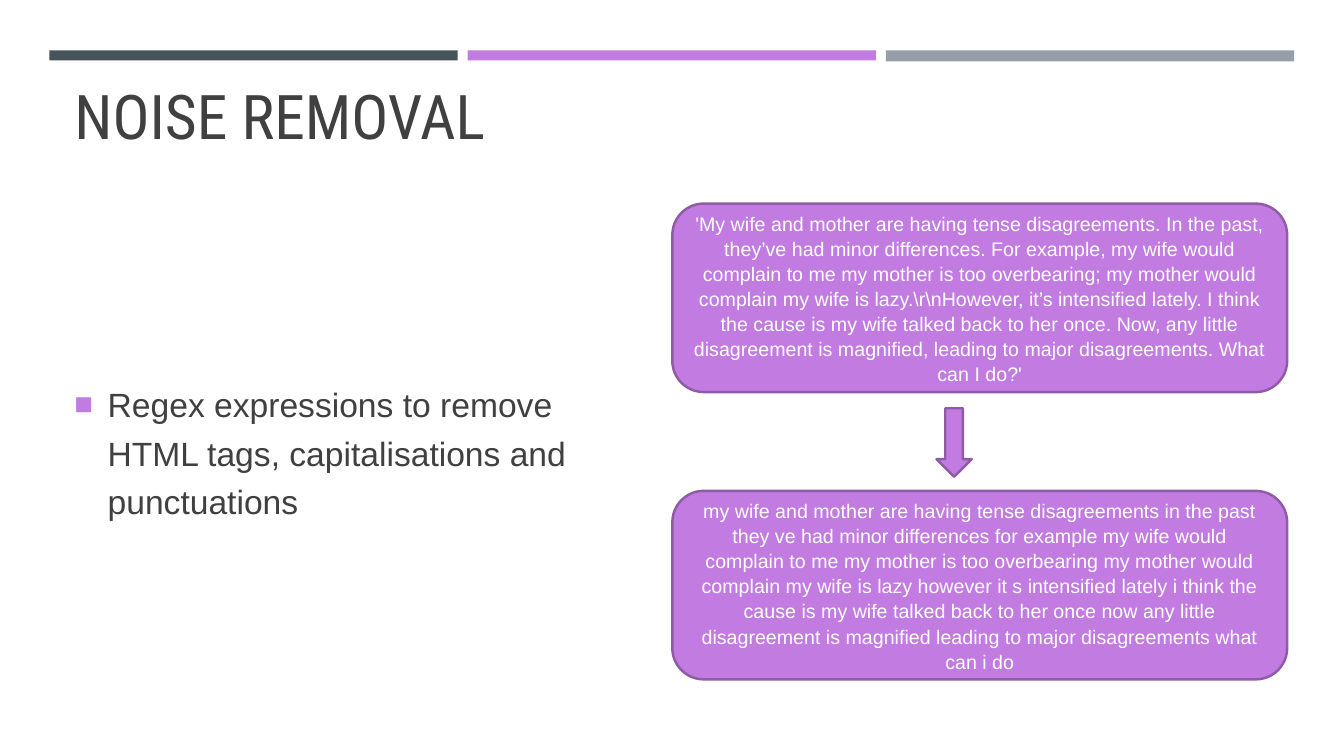
from lxml.etree import SubElement
from pptx import Presentation
from pptx.dml.color import RGBColor
from pptx.enum.shapes import MSO_SHAPE as Shape
from pptx.enum.text import MSO_ANCHOR as Anchor, PP_ALIGN as Align
from pptx.oxml.ns import qn
from pptx.util import Inches, Pt

PURPLE, PLUM, SLATE, GREY = "C27BE1", "905BA6", "465359", "969FA7"
INK, WHITE = "404040", "FFFFFF"
COLUMNS, ROWS = 40, 30

RAW_POST = (
    "'My wife and mother are having tense disagreements. In the past, they’ve had "
    "minor differences. For example, my wife would complain to me my mother is too "
    "overbearing; my mother would complain my wife is lazy.\\r\\nHowever, it’s "
    "intensified lately. I think the cause is my wife talked back to her once. Now, "
    "any little disagreement is magnified, leading to major disagreements. What can I do?'"
)
CLEAN_POST = (
    "my wife and mother are having tense disagreements in the past they ve had minor "
    "differences for example my wife would complain to me my mother is too overbearing "
    "my mother would complain my wife is lazy however it s intensified lately i think "
    "the cause is my wife talked back to her once now any little disagreement is "
    "magnified leading to major disagreements what can i do"
)


def color(value):
    return RGBColor.from_string(value)


class SlideBuilder:
    """Draws on one slide; every position is (column, row, columns, rows)."""

    heading_font, text_font = "Roboto Condensed", "Arial"

    def __init__(self, deck):
        self.slide = deck.slides.add_slide(deck.slide_layouts[6])
        self.column = deck.slide_width / COLUMNS
        self.row = deck.slide_height / ROWS

    def place(self, cells):
        units = (self.column, self.row) * 2
        return [round(cell * unit) for cell, unit in zip(cells, units)]

    def shape(self, kind, cells, fill, line=None):
        shape = self.slide.shapes.add_shape(kind, *self.place(cells))
        shape.shadow.inherit = False
        shape.fill.solid()
        shape.fill.fore_color.rgb = color(fill)
        if line:
            shape.line.color.rgb = color(line)
            shape.line.width = Pt(1.75)
        else:
            shape.line.fill.background()
        return shape

    def set_text(self, frame, text, size, ink, font, anchor, align, spacing, after=0):
        frame.word_wrap = True
        frame.vertical_anchor = anchor
        paragraph = frame.paragraphs[0]
        paragraph.text = text
        paragraph.alignment = align
        paragraph.line_spacing = spacing
        paragraph.space_after = Pt(after)
        paragraph.font.size = Pt(size)
        paragraph.font.name = font
        paragraph.font.color.rgb = color(ink)
        return paragraph

    def title(self, cells, text):
        frame = self.slide.shapes.add_textbox(*self.place(cells)).text_frame
        self.set_text(frame, text, 44, INK, self.heading_font, Anchor.BOTTOM,
                      Align.LEFT, 0.9)

    def bullet(self, cells, text):
        frame = self.slide.shapes.add_textbox(*self.place(cells)).text_frame
        point = self.set_text(frame, text, 24, INK, self.text_font, Anchor.MIDDLE,
                              Align.LEFT, 1.2, after=6)
        point.space_before = Pt(4.8)
        properties = point._p.get_or_add_pPr()
        indent = Inches(0.33)
        properties.set("marL", str(indent))
        properties.set("indent", str(-indent))
        marker_color = SubElement(properties, qn("a:buClr"))
        SubElement(marker_color, qn("a:srgbClr"), val=PURPLE)
        SubElement(properties, qn("a:buSzPct"), val="92000")
        SubElement(properties, qn("a:buFont"), typeface=self.text_font)
        SubElement(properties, qn("a:buChar"), char="■")
        # The schema wants the font defaults after the bullet settings.
        properties.append(properties.find(qn("a:defRPr")))

    def card(self, cells, text):
        card = self.shape(Shape.FLOWCHART_ALTERNATE_PROCESS, cells, PURPLE, PLUM)
        self.set_text(card.text_frame, text, 14, WHITE, self.text_font, Anchor.MIDDLE,
                      Align.CENTER, 1.07, after=8)


def main():
    deck = Presentation()
    deck.slide_width, deck.slide_height = Inches(13.33), Inches(7.5)
    page = SlideBuilder(deck)

    for index, (fill, height) in enumerate([(SLATE, 0.4), (PURPLE, 0.4), (GREY, 0.44)]):
        page.shape(Shape.RECTANGLE, (1.47 + 12.45 * index, 2, 12.15, height), fill)

    page.title((1.92, 3.08, 36.18, 3.16), "NOISE REMOVAL")
    page.bullet((1.92, 6.72, 16.71, 22.16),
                "Regex expressions to remove HTML tags, capitalisations and punctuations")

    for index, post in enumerate([RAW_POST, CLEAN_POST]):
        page.card((20.01, 8.08 + 11.4 * index, 18.3, 7.48), post)
    page.shape(Shape.DOWN_ARROW, (27.87, 16.2, 1.05, 2.72), PURPLE, PLUM)

    deck.save("out.pptx")


if __name__ == "__main__":
    main()
